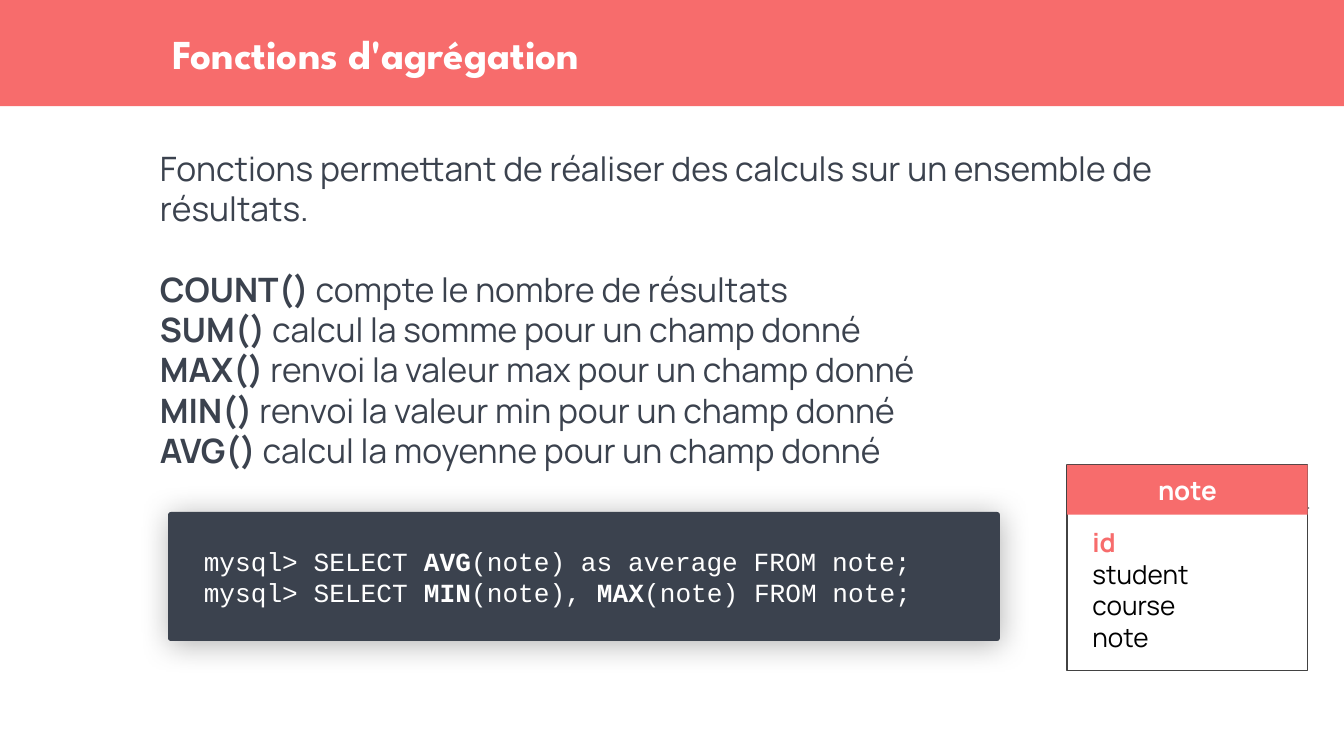
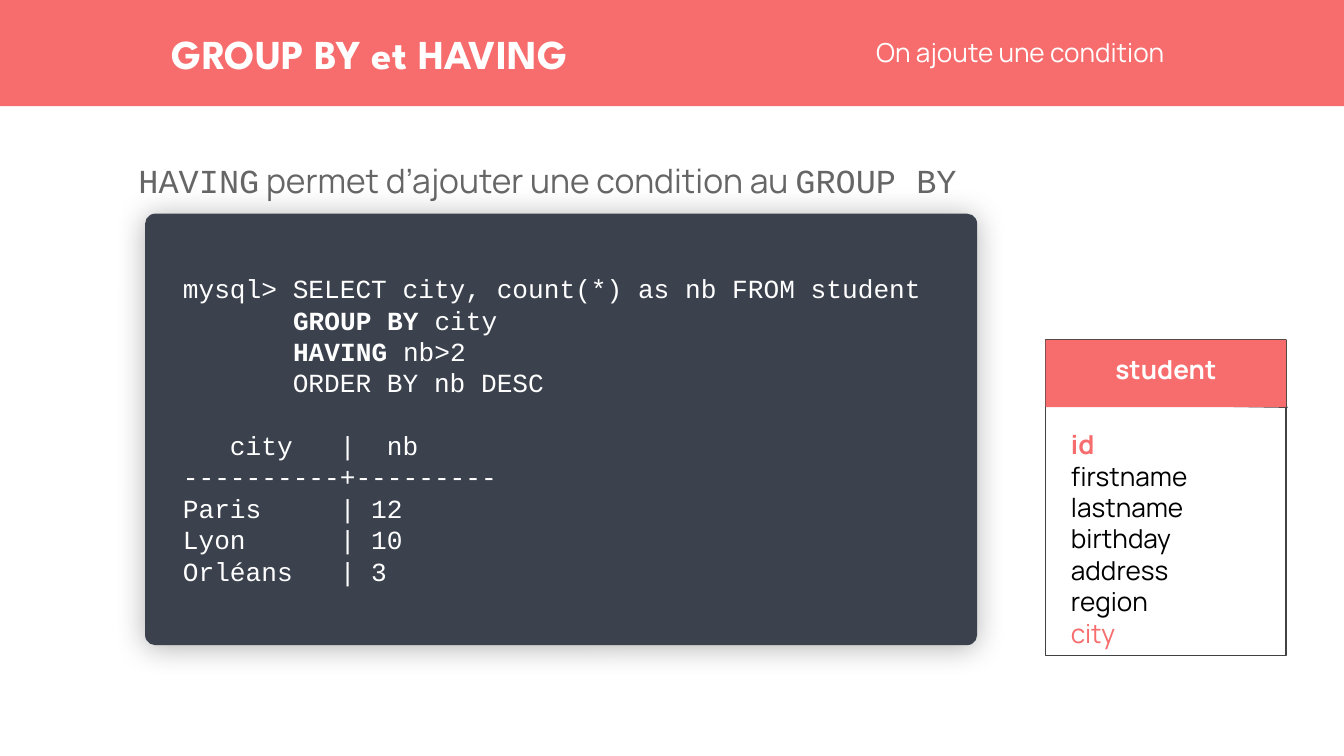
from pptx import Presentation
from pptx.dml.color import RGBColor
from pptx.enum.shapes import MSO_CONNECTOR as LINK, MSO_SHAPE as KIND
from pptx.enum.text import MSO_ANCHOR as ANC, PP_ALIGN as ALIGN
from pptx.oxml import parse_xml
from pptx.oxml.ns import nsdecls
from pptx.util import Pt

PX = 9144  # EMU in one px, 100 px to the inch
WIDE = 1000 * PX
HIGH = WIDE * 9 // 16

CORAL = RGBColor(0xF7, 0x6C, 0x6C)
SLATE = RGBColor(0x3B, 0x42, 0x4E)
GREY = RGBColor(0x66, 0x66, 0x66)
EDGE = RGBColor(0x42, 0x42, 0x42)
WHITE = RGBColor(0xFF, 0xFF, 0xFF)
BLACK = RGBColor(0, 0, 0)

HEAD, SANS, MONO = "League Spartan", "Manrope", "Courier New"
BOLD = {"bold": True}
TITLE = {"name": HEAD, "size": 22, "color": WHITE, "bold": True}
SUB = {"name": SANS, "size": 14, "color": WHITE}
BODY = {"name": SANS, "size": 18, "color": SLATE}
CODE = {"name": MONO, "size": 14, "color": WHITE}
FIELD = {"name": SANS, "size": 14, "color": BLACK}
KEY = {"color": CORAL, "bold": True}
GAP = "¶"  # leads a paragraph that has one line of space before it


def scale(*nums):
    return [n * PX for n in nums]


def style(font, form):
    for key, val in form.items():
        if key == "color":
            font.color.rgb = val
        else:
            setattr(font, key, Pt(val) if key == "size" else val)


def write(shape, lines, form, alt=BOLD, pad=(0, 0, 0, 0), anchor=ANC.TOP,
          align=ALIGN.LEFT):
    """Fill a shape with lines; parts between ** take the alt format."""
    frame = shape.text_frame
    frame.word_wrap = True
    frame.vertical_anchor = anchor
    for side, size in zip(("left", "top", "right", "bottom"), scale(*pad)):
        setattr(frame, "margin_" + side, size)
    lead = Pt(1.2 * form["size"])
    for i, line in enumerate(lines):
        para = frame.paragraphs[0] if i == 0 else frame.add_paragraph()
        para.alignment = align
        para.line_spacing = lead
        if line.startswith(GAP):
            para.space_before = lead
        for j, part in enumerate(line.removeprefix(GAP).split("**")):
            if part:
                run = para.add_run()
                run.text = part
                style(run.font, {**form, **alt} if j % 2 else form)


def text(shapes, box, lines, form, **opts):
    write(shapes.add_textbox(*scale(*box)), lines, form, **opts)


def block(shapes, kind, box, fill=None, line=None):
    shape = shapes.add_shape(kind, *scale(*box))
    shape.shadow.inherit = False
    if fill is None:
        shape.fill.background()
    else:
        shape.fill.solid()
        shape.fill.fore_color.rgb = fill
    if line is None:
        shape.line.fill.background()
    else:
        shape.line.color.rgb = line
        shape.line.width = Pt(0.75)
    return shape


def banner(slide, title, width, sub=None):
    """Coral band with the title and an optional subtitle."""
    shapes = slide.shapes
    block(shapes, KIND.RECTANGLE, (-2, 0, 1004, 79), CORAL)
    text(shapes, (128, 0, width, 79), [title], TITLE, anchor=ANC.MIDDLE)
    if sub:
        text(shapes, (652, 19, 304, 39), [sub], SUB, anchor=ANC.MIDDLE)


def console(slide, box, lines):
    """Dark rounded panel of code with a soft shadow."""
    panel = block(slide.shapes, KIND.ROUNDED_RECTANGLE, box, SLATE)
    panel.adjustments[0] = 0.023
    glow = parse_xml(
        f'<a:outerShdw {nsdecls("a")} blurRad="{Pt(15.8)}" dist="{Pt(1.5)}" '
        'dir="5400000" algn="bl" rotWithShape="0"><a:srgbClr val="000000">'
        '<a:alpha val="30000"/></a:srgbClr></a:outerShdw>')
    panel.element.spPr.find("{*}effectLst").append(glow)
    write(panel, lines, CODE, pad=(26, 10, 10, 10), anchor=ANC.MIDDLE)


def entity(slide, box, name, fields, head, rule, list_y, anchor, alt=KEY):
    """Table of a schema: frame, rule, coral head and list of fields."""
    x, y, wide, high = box
    shapes = slide.shapes.add_group_shape().shapes
    block(shapes, KIND.RECTANGLE, box, line=EDGE)
    link = shapes.add_connector(
        LINK.STRAIGHT, *scale(x, y + rule[0], x + wide + 1, y + rule[1]))
    link.line.color.rgb = EDGE
    link.line.width = Pt(0.75)
    link.element.spPr.append(parse_xml(f'<a:effectLst {nsdecls("a")}/>'))
    pad = (10, 10, 10, 10)
    top = block(shapes, KIND.RECTANGLE, (x, y, wide, head), CORAL)
    write(top, [name], {**FIELD, "color": WHITE, "bold": True}, pad=pad,
          anchor=anchor, align=ALIGN.CENTER)
    spot = shapes.add_textbox(*scale(x + 9, y + list_y, wide + 19, head))
    write(spot, fields, FIELD, alt=alt, pad=pad)
    return spot.text_frame


def totals(slide):
    banner(slide, "Fonctions d'agrégation", 455)
    text(slide.shapes, (119, 110, 743, 307), [
        "Fonctions permettant de réaliser des calculs sur un ensemble de "
        "résultats.",
        GAP + "**COUNT() **compte le nombre de résultats",
        "**SUM()** calcul la somme pour un champ donné",
        "**MAX()** renvoi la valeur max pour un champ donné",
        "**MIN() **renvoi la valeur min pour un champ donné",
        "**AVG()** calcul la moyenne pour un champ donné",
    ], BODY)
    entity(slide, (794, 346, 179, 153), "note",
           ["**id**", "student", "course", "note"],
           head=37, rule=(30, 32), list_y=36, anchor=ANC.MIDDLE)
    console(slide, (125, 381, 619, 96), [
        "mysql> SELECT **AVG**(note) as average FROM note;",
        "mysql> SELECT **MIN**(note), **MAX**(note) FROM note;",
    ])


def having(slide):
    banner(slide, "GROUP BY et HAVING", 490, "On ajoute une condition")
    text(slide.shapes, (103, 119, 743, 307),
         ["**HAVING** permet d’ajouter une condition au **GROUP BY**"],
         {**BODY, "color": GREY}, alt={"name": MONO})
    console(slide, (108, 159, 619, 321), [
        "mysql> SELECT city, count(*) as nb FROM student",
        "       **GROUP BY** city",
        "       **HAVING** nb>2",
        "       ORDER BY nb DESC",
        GAP + "   city   |  nb",
        "----------+---------",
        "Paris     | 12",
        "Lyon      | 10",
        "Orléans   | 3",
    ])
    frame = entity(slide, (778, 253, 179, 235), "student",
                   ["**id**", "firstname", "lastname", "birthday", "address",
                    "region", "city"],
                   head=50, rule=(47, 50), list_y=56, anchor=ANC.TOP)
    # The grouped column stands out
    style(frame.paragraphs[-1].runs[0].font, {"color": CORAL})


def main():
    deck = Presentation()
    deck.slide_width, deck.slide_height = WIDE, HIGH
    for build in (totals, having):
        build(deck.slides.add_slide(deck.slide_layouts[6]))
    deck.save("out.pptx")


if __name__ == "__main__":
    main()
